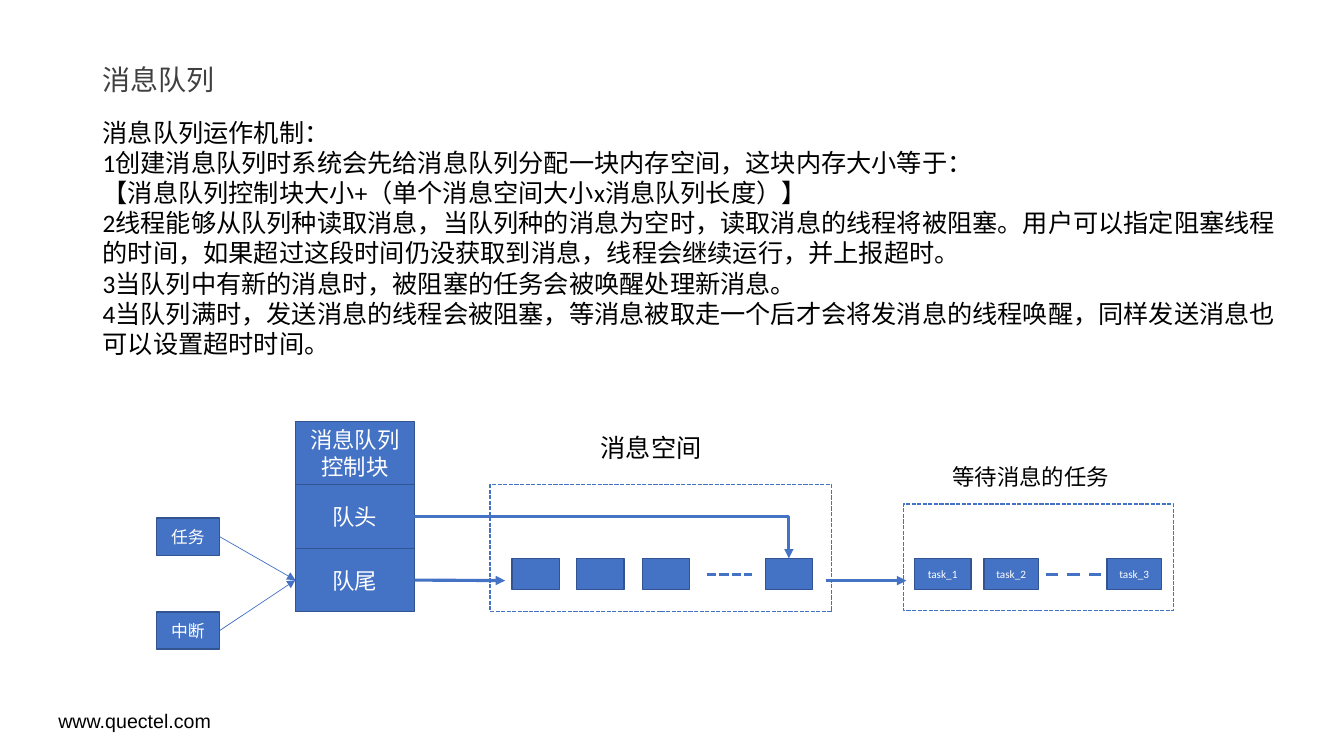
from lxml import etree
from pptx import Presentation
from pptx.dml.color import RGBColor
from pptx.enum.dml import MSO_LINE_DASH_STYLE
from pptx.enum.shapes import MSO_CONNECTOR, MSO_SHAPE
from pptx.enum.text import MSO_ANCHOR, PP_ALIGN
from pptx.oxml.ns import qn
from pptx.util import Inches, Pt

RECTANGLE = MSO_SHAPE.RECTANGLE
STRAIGHT, ELBOW = MSO_CONNECTOR.STRAIGHT, MSO_CONNECTOR.ELBOW
SHORT_DASH, DASH = MSO_LINE_DASH_STYLE.SQUARE_DOT, MSO_LINE_DASH_STYLE.DASH
TOP, MIDDLE = MSO_ANCHOR.TOP, MSO_ANCHOR.MIDDLE
LEFT, CENTER = PP_ALIGN.LEFT, PP_ALIGN.CENTER
TOP_SIDE, LEFT_SIDE, RIGHT_SIDE = 0, 1, 3

BODY = [
    "消息队列运作机制：",
    "1创建消息队列时系统会先给消息队列分配一块内存空间，这块内存大小等于：",
    "【消息队列控制块大小+（单个消息空间大小x消息队列长度）】",
    "2线程能够从队列种读取消息，当队列种的消息为空时，读取消息的线程将被阻塞。"
    "用户可以指定阻塞线程的时间，如果超过这段时间仍没获取到消息，线程会继续运行，并上报超时。",
    "3当队列中有新的消息时，被阻塞的任务会被唤醒处理新消息。",
    "4当队列满时，发送消息的线程会被阻塞，等消息被取走一个后才会将发消息的线程唤醒，"
    "同样发送消息也可以设置超时时间。",
]


def color(value):
    return RGBColor.from_string(value)


def write(frame, lines, size=18, ink="000000", font="Calibri", align=LEFT,
          anchor=TOP, wrap=True, spacing=None):
    frame.word_wrap = wrap
    frame.vertical_anchor = anchor
    for index, line in enumerate(lines):
        para = frame.add_paragraph() if index else frame.paragraphs[0]
        para.alignment = align
        if spacing:
            para.line_spacing = spacing
        span = para.add_run()
        span.text = line
        span.font.size = Pt(size)
        span.font.color.rgb = color(ink)
        span.font.name = font
        east_asian = etree.SubElement(span.font._element, qn("a:ea"))
        east_asian.set("typeface", "Noto Sans CJK SC")


class Diagram:
    blue, edge, white = "4472C4", "325491", "FFFFFF"

    def __init__(self, page):
        self.page = page

    def text(self, left, top, width, height, lines, **style):
        box = self.page.shapes.add_textbox(
            Inches(left), Inches(top), Inches(width), Inches(height))
        write(box.text_frame, lines, **style)

    def rectangle(self, left, top, width, height, fill, line):
        box = self.page.shapes.add_shape(
            RECTANGLE, Inches(left), Inches(top), Inches(width), Inches(height))
        box.shadow.inherit = False
        box.fill.solid()
        box.fill.fore_color.rgb = color(fill)
        box.line.color.rgb = color(line)
        box.line.width = Pt(1)
        return box

    def block(self, left, top, width, height, label="", size=16):
        box = self.rectangle(left, top, width, height, self.blue, self.edge)
        if label:
            write(box.text_frame, [label], size=size, ink=self.white,
                  align=CENTER, anchor=MIDDLE)
        return box

    def frame(self, left, top, width, height):
        box = self.rectangle(left, top, width, height, self.white, self.blue)
        box.line.dash_style = SHORT_DASH

    def line(self, start, end, width=2.25, kind=STRAIGHT, dash=None, arrow=True):
        link = self.page.shapes.add_connector(
            kind, *[Inches(value) for value in (*start, *end)])
        link.line.color.rgb = color(self.blue)
        link.line.width = Pt(width)
        if dash:
            link.line.dash_style = dash
        properties = link._element.spPr
        if kind == ELBOW:
            properties.find(qn("a:prstGeom")).set("prst", "bentConnector2")
        if arrow:
            tip = etree.SubElement(properties.find(qn("a:ln")), qn("a:tailEnd"))
            tip.set("type", "triangle")
        etree.SubElement(properties, qn("a:effectLst"))
        return link


def main():
    deck = Presentation()
    deck.slide_width, deck.slide_height = Inches(13.33), Inches(7.5)
    page = deck.slides.add_slide(deck.slide_layouts[6])
    diagram = Diagram(page)

    # Footer, title and explanation
    diagram.text(0.48, 7.01, 12.1, 0.31, ["www.quectel.com"], size=14,
                 font="Arial", anchor=MIDDLE, spacing=0.9)
    diagram.text(0.92, 0.63, 12.1, 0.31, ["消息队列"], size=20, ink="404040",
                 font="Noto Sans CJK SC", anchor=MIDDLE)
    diagram.text(0.92, 1.11, 11.89, 2.52, BODY)

    # Queue control block
    control, head, tail = [
        diagram.block(2.93, 4.18 + 0.63 * row, 1.18, 0.63, label)
        for row, label in enumerate(["消息队列控制块", "队头", "队尾"])]

    # Senders
    for top, label in [(5.14, "任务"), (6.07, "中断")]:
        sender = diagram.block(1.55, top, 0.63, 0.37, label, size=12)
        link = diagram.line((2.18, top + 0.19), (2.93, 5.76), width=0.5)
        link.begin_connect(sender, RIGHT_SIDE)
        link.end_connect(tail, LEFT_SIDE)

    # Message space
    diagram.frame(4.86, 4.81, 3.39, 1.26)
    slots = [diagram.block(left, 5.54, 0.47, 0.31)
             for left in (5.08, 5.72, 6.37, 7.59)]
    diagram.line((7.01, 5.7), (7.46, 5.7), dash=SHORT_DASH, arrow=False)
    diagram.text(5.86, 4.24, 1.21, 0.4, ["消息空间"], wrap=False)

    # Waiting tasks
    diagram.frame(8.96, 5, 2.68, 1.06)
    for number, (left, width) in enumerate(
            [(9.07, 0.56), (9.76, 0.54), (10.98, 0.54)], start=1):
        diagram.block(left, 5.54, width, 0.31, f"task_{number}", size=8)
    diagram.line((10.37, 5.7), (10.92, 5.7), dash=DASH, arrow=False)
    diagram.text(9.35, 4.55, 2.3, 0.37, ["等待消息的任务"], size=16)

    # Message flow
    diagram.line((8.19, 5.76), (8.99, 5.76))
    entry = diagram.line((4.11, 5.76), (5.01, 5.76))
    entry.begin_connect(tail, RIGHT_SIDE)
    newest = diagram.line((4.11, 5.13), (7.82, 5.54), kind=ELBOW)
    newest.begin_connect(head, RIGHT_SIDE)
    newest.end_connect(slots[-1], TOP_SIDE)

    deck.save("out.pptx")


if __name__ == "__main__":
    main()
